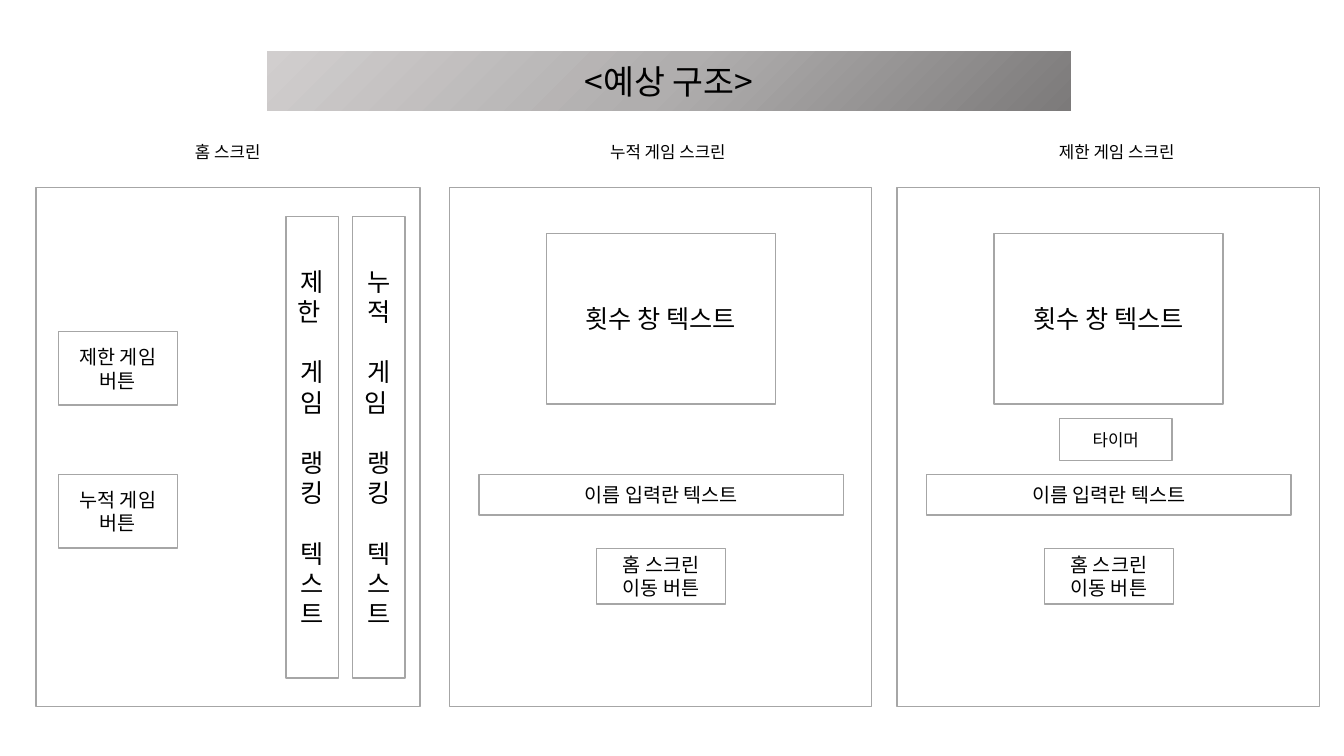
"""Builds the slide that outlines the expected structure of the game's three screens."""
from copy import deepcopy

from lxml.etree import SubElement
from pptx import Presentation
from pptx.dml.color import RGBColor
from pptx.enum.shapes import MSO_SHAPE
from pptx.enum.text import MSO_ANCHOR, MSO_AUTO_SIZE, PP_ALIGN
from pptx.oxml.ns import qn
from pptx.util import Cm, Pt

FONT = "Noto Sans CJK KR"
WHITE, GREY, BLACK = "FFFFFF", "A6A6A6", "000000"


def write(shape, lines, size):
    """Write centred paragraphs, set one line apart from each other."""
    frame = shape.text_frame
    frame.word_wrap = True
    frame.auto_size = MSO_AUTO_SIZE.NONE
    frame.vertical_anchor = MSO_ANCHOR.MIDDLE
    for index, line in enumerate(lines):
        para = frame.add_paragraph() if index else frame.paragraphs[0]
        para.alignment = PP_ALIGN.CENTER
        para.line_spacing = 1.0
        para.space_before = Pt(size * 1.2 if index else 0)
        span = para.add_run()
        span.text = line
        span.font.size = Pt(size)
        span.font.name = FONT
        span.font.color.rgb = RGBColor.from_string(BLACK)
        SubElement(span.font._element, qn("a:ea"), typeface=FONT)


def add_box(left, top, width, height, lines=(), size=12, outline=GREY):
    """Add a white rectangle, measured in centimetres."""
    box = page.shapes.add_shape(MSO_SHAPE.RECTANGLE, Cm(left), Cm(top), Cm(width), Cm(height))
    box.shadow.inherit = False
    box.fill.solid()
    box.fill.fore_color.rgb = RGBColor.from_string(WHITE)
    box.line.color.rgb = RGBColor.from_string(outline)
    box.line.width = Pt(1)
    write(box, lines, size)


deck = Presentation()
deck.slide_width, deck.slide_height = Cm(33.87), Cm(19.05)
page = deck.slides.add_slide(deck.slide_layouts[5])

title = page.shapes.title
title.left, title.top, title.width, title.height = Cm(6.71), Cm(1.27), Cm(20.29), Cm(1.55)
title.line.color.rgb = RGBColor.from_string(WHITE)
title.line.width = Pt(1)
title.fill.gradient()
title.fill.gradient_angle = 135
stop_list = title._element.spPr.find(".//" + qn("a:gsLst"))
stop_list.append(deepcopy(stop_list[0]))
shades = [(0, "7C7A7A"), (0.5, "B0AEAE"), (1, "D1CECE")]
for stop, (position, shade) in zip(title.fill.gradient_stops, shades):
    stop.position = position
    stop.color.rgb = RGBColor.from_string(shade)
write(title, ["<예상 구조>"], 24)

screen_top, screen_height = 4.72, 13.08
add_box(0.91, screen_top, 9.68, screen_height)
rankings = [(7.21, ["제한 ", "게임", "랭킹", "텍스트"]), (8.89, ["누적", "게임 ", "랭킹", "텍스트"])]
for left, words in rankings:
    add_box(left, 5.46, 1.32, 11.63, words, 18)
for top, label in [(8.36, "제한 게임 버튼"), (11.96, "누적 게임 버튼")]:
    add_box(1.47, top, 3, 1.85, [label], 14)

for left in (11.33, 22.61):
    add_box(left, screen_top, 10.64, screen_height)
    add_box(left + 2.44, 5.89, 5.77, 4.29, ["횟수 창 텍스트"], 18)
    add_box(left + 0.74, 11.96, 9.19, 1.02, ["이름 입력란 텍스트"], 14)
    add_box(left + 3.71, 13.82, 3.25, 1.4, ["홈 스크린 이동 버튼"], 14)
add_box(26.7, 10.54, 2.84, 1.07, ["타이머"])

captions = [
    (4.32, 3.28, 2.84, "홈 스크린"),
    (14.83, 3.28, 4.01, "누적 게임 스크린"),
    (26.09, 3.3, 4.11, "제한 게임 스크린"),
]
for left, top, width, caption in captions:
    add_box(left, top, width, 1.07, [caption], outline=WHITE)

deck.save("out.pptx")
